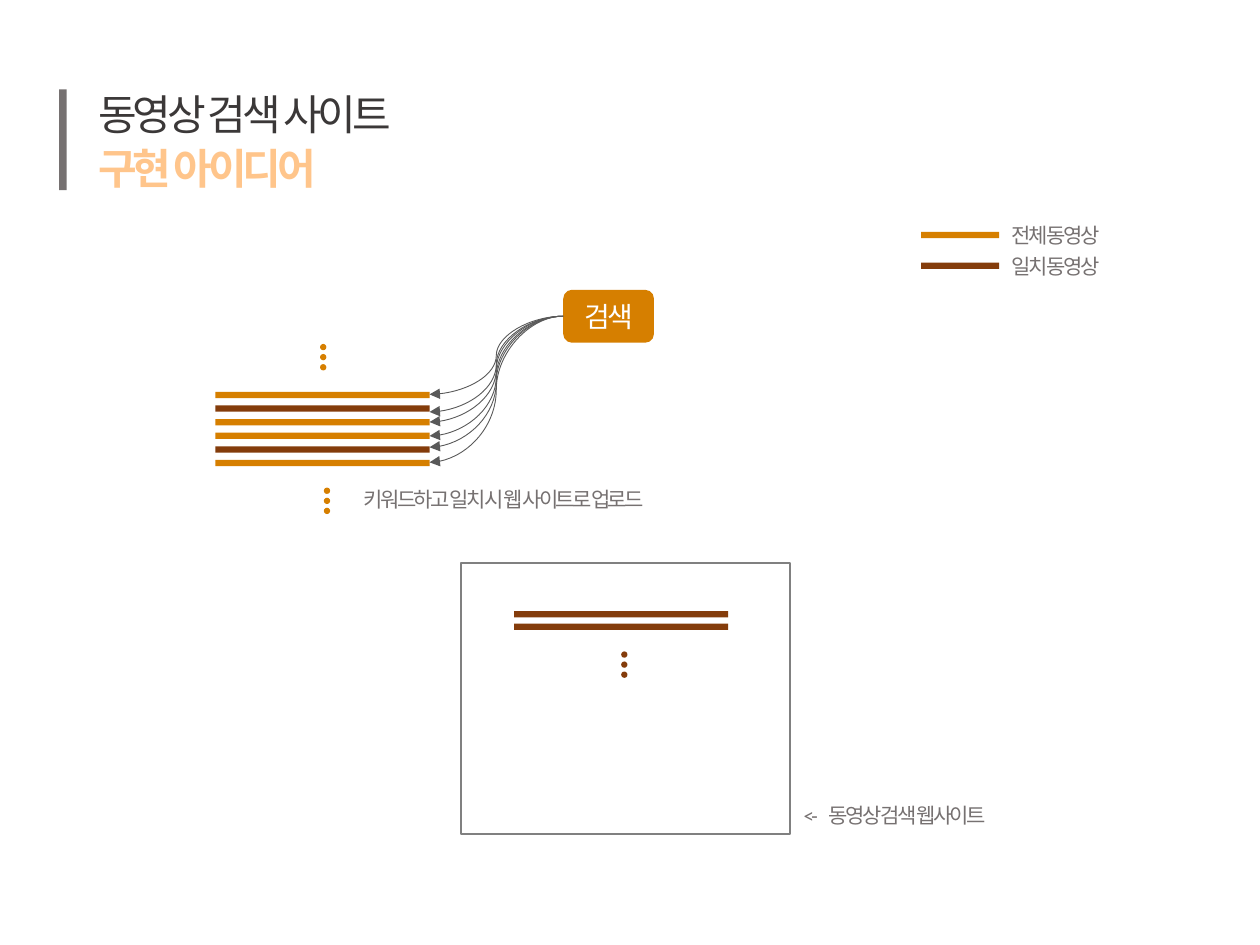
from pptx import Presentation
from pptx.dml.color import RGBColor
from pptx.enum.shapes import MSO_CONNECTOR, MSO_SHAPE
from pptx.enum.text import MSO_ANCHOR, PP_ALIGN
from pptx.oxml.ns import qn
from pptx.util import Inches, Pt
from lxml import etree

ORANGE = RGBColor(0xD6, 0x7F, 0x00)
BROWN = RGBColor(0x84, 0x3C, 0x0B)
PEACH = RGBColor(0xFF, 0xC5, 0x8B)
CHARCOAL = RGBColor(0x3B, 0x38, 0x38)
GRAY = RGBColor(0x76, 0x71, 0x71)
FRAME_GRAY = RGBColor(0x80, 0x80, 0x80)
ARROW_GRAY = RGBColor(0x59, 0x59, 0x59)
WHITE = RGBColor(0xFF, 0xFF, 0xFF)


class Sketch:
    """Draws styled elements on a slide, measured in a grid of 100 columns by 75 rows."""

    font = "Calibri"
    cell = Inches(0.1)
    thickness = 0.5

    def __init__(self, presentation):
        presentation.slide_width = 100 * self.cell
        presentation.slide_height = 75 * self.cell
        self.slide = presentation.slides.add_slide(presentation.slide_layouts[6])

    def grid(self, *cells):
        return [round(value * self.cell) for value in cells]

    def shape(self, kind, box, fill=None, line=None):
        shape = self.slide.shapes.add_shape(kind, *self.grid(*box))
        shape.shadow.inherit = False
        if fill is None:
            shape.fill.background()
        else:
            shape.fill.solid()
            shape.fill.fore_color.rgb = fill
        if line is None:
            shape.line.fill.background()
        else:
            shape.line.color.rgb = line
            shape.line.width = Pt(1)
        return shape

    def bar(self, col, row, width, color):
        self.shape(MSO_SHAPE.RECTANGLE, (col, row, width, self.thickness), color)

    def dots(self, col, row, color):
        for step in range(3):
            self.shape(MSO_SHAPE.OVAL, (col, row + 0.8 * step, 0.5, 0.5), color)

    def label(self, frame, text, size, color, spacing, bold=False):
        paragraph = frame.paragraphs[0]
        run = paragraph.add_run()
        run.text = text
        run.font.name = self.font
        run.font.size = Pt(size)
        run.font.bold = bold
        run.font.color.rgb = color
        run._r.get_or_add_rPr().set("spc", str(round(spacing * 100)))
        return paragraph

    def text(self, box, text, size=12, color=GRAY, spacing=-1.5, bold=False, wrap=True,
             anchor=MSO_ANCHOR.TOP):
        frame = self.slide.shapes.add_textbox(*self.grid(*box)).text_frame
        frame.word_wrap = wrap
        frame.vertical_anchor = anchor
        return self.label(frame, text, size, color, spacing, bold)

    def tab_stop(self, paragraph, col):
        tabs = etree.SubElement(paragraph._p.get_or_add_pPr(), qn("a:tabLst"))
        etree.SubElement(tabs, qn("a:tab"), pos=str(self.grid(col)[0]), algn="l")

    def curve(self, source, site, col, row):
        end = self.grid(col, row)
        arrow = self.slide.shapes.add_connector(MSO_CONNECTOR.CURVE, *end, *end)
        arrow.begin_connect(source, site)
        arrow.line.color.rgb = ARROW_GRAY
        arrow.line.width = Pt(0.5)
        properties = arrow._element.spPr
        etree.SubElement(properties.find(qn("a:ln")), qn("a:tailEnd"), type="triangle")
        etree.SubElement(properties, qn("a:effectLst"))


presentation = Presentation()
sketch = Sketch(presentation)

title = sketch.text((6.8, 5.3, 29.8, 8), "동영상 검색 사이트", 24, CHARCOAL, -2.2,
                    anchor=MSO_ANCHOR.MIDDLE)
title.line_spacing = 0.9
sketch.text((6.8, 10.8, 20.8, 5), "구현 아이디어", 24, PEACH, -2.2, bold=True, wrap=False)
sketch.shape(MSO_SHAPE.RECTANGLE, (4.7, 7.1, 0.6, 8), GRAY)

search = sketch.shape(MSO_SHAPE.ROUNDED_RECTANGLE, (44.7, 23, 7.2, 4.2), ORANGE)
search.text_frame.vertical_anchor = MSO_ANCHOR.MIDDLE
sketch.label(search.text_frame, "검색", 16, WHITE, -1.5).alignment = PP_ALIGN.CENTER

videos = [ORANGE, BROWN, ORANGE, ORANGE, BROWN, ORANGE]
for index, color in enumerate(videos):
    sketch.bar(17.1, 31.1 + 1.08 * index, 17, color)
for row in (31.3, 32.7, 33.5, 34.6, 35.5, 36.7):
    sketch.curve(search, 1, 34.1, row)
sketch.text((27.9, 38.1, 42.1, 3), "키워드하고 일치 시 웹 사이트로 업로드")

sketch.shape(MSO_SHAPE.RECTANGLE, (36.6, 44.7, 26.1, 21.5), line=FRAME_GRAY)
for row in (48.5, 49.5):
    sketch.bar(40.8, row, 17, BROWN)
caption = sketch.text((62.8, 63.2, 18.2, 3), "<-\t동영상 검색 웹사이트")
sketch.tab_stop(caption, 2)

for col, row, color in ((49.3, 51.7, BROWN), (25.7, 38.7, ORANGE), (25.4, 27.3, ORANGE)):
    sketch.dots(col, row, color)

legend = [("전체 동영상", ORANGE), ("일치 동영상", BROWN)]
for index, (name, color) in enumerate(legend):
    row = 17.2 + 2.45 * index
    sketch.bar(73.1, row + 1.2, 6.2, color)
    sketch.text((79.3, row, 18.2, 3), name)

presentation.save("out.pptx")
